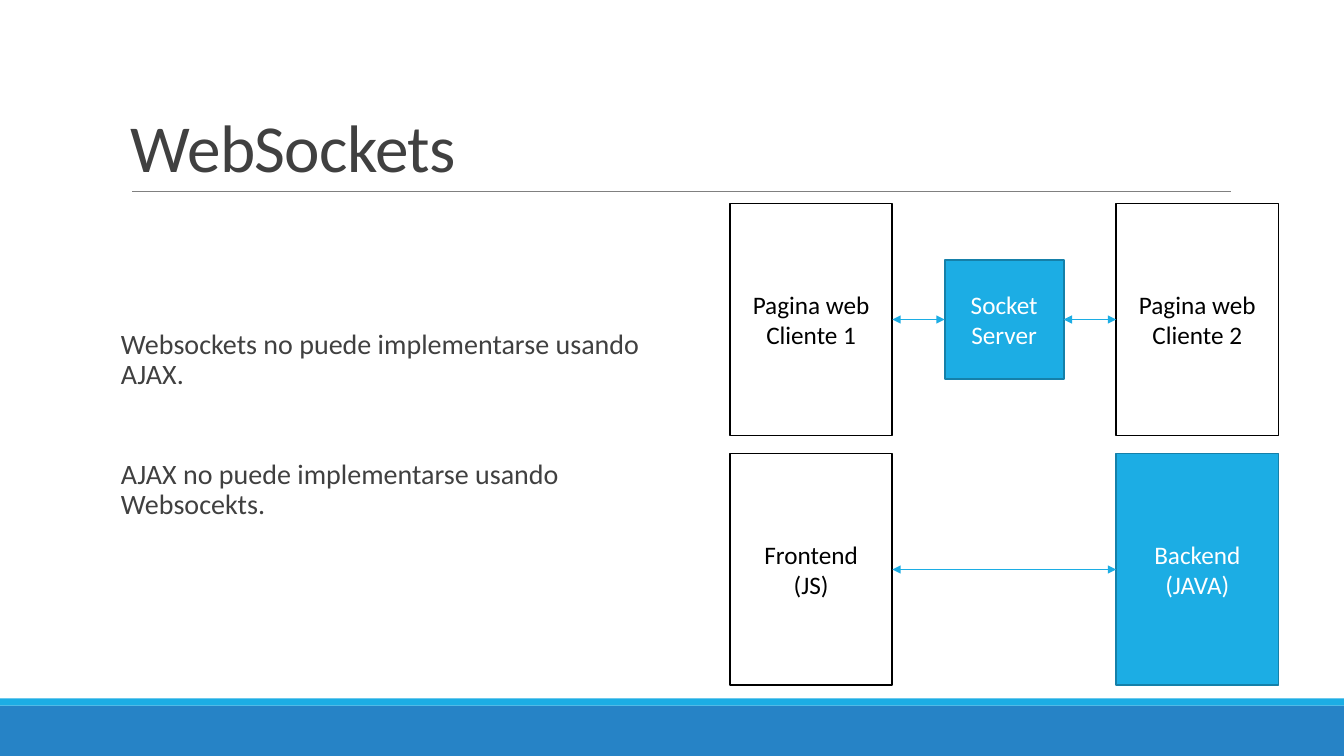
from lxml import etree
from pptx import Presentation
from pptx.dml.color import RGBColor
from pptx.enum import shapes, text
from pptx.oxml import ns
from pptx.util import Inches, Pt

WHITE = RGBColor(0xFF, 0xFF, 0xFF)
BLACK = RGBColor(0, 0, 0)
GREY = RGBColor(0x80, 0x80, 0x80)
DARK = RGBColor(0x40, 0x40, 0x40)
CYAN = RGBColor(0x1C, 0xAD, 0xE4)
CYAN_EDGE = RGBColor(0x15, 0x80, 0xA9)
BLUE = RGBColor(0x26, 0x83, 0xC6)
TOP, LEFT, BOTTOM, RIGHT = range(4)

deck = Presentation()
deck.slide_width, deck.slide_height = Inches(13.33), Inches(7.5)
page = deck.slides.add_slide(deck.slide_layouts[6])


def write(box, lines, size, color, align):
    """Fill a shape with one paragraph per line and return its text frame."""
    frame = box.text_frame
    frame.word_wrap = True
    frame.text = "\n".join(lines)
    for para in frame.paragraphs:
        para.alignment = align
        font = para.runs[0].font
        font.name, font.size, font.color.rgb = "Calibri", Pt(size), color
    return frame


def draw_line(start, end, color, width):
    line = page.shapes.add_connector(shapes.MSO_CONNECTOR.STRAIGHT, *start, *end)
    line.line.color.rgb = color
    line.line.width = Pt(width)
    etree.SubElement(line._element.spPr, ns.qn("a:effectLst"))
    return line


# Footer bands and title rule
for top, height, color in [(7, 0.5, BLUE), (6.93, 0.07, CYAN)]:
    band = page.shapes.add_shape(shapes.MSO_SHAPE.RECTANGLE, 0, Inches(top),
                                 deck.slide_width, Inches(height))
    band.shadow.inherit = False
    band.fill.solid()
    band.fill.fore_color.rgb = color
    band.line.fill.background()
draw_line((Inches(1.31), Inches(1.9)), (Inches(12.21), Inches(1.9)), GREY, 0.5)

# Title
title = page.shapes.add_textbox(Inches(1.2), Inches(0.31), Inches(11), Inches(1.59))
frame = write(title, ["WebSockets"], 48, DARK, text.PP_ALIGN.LEFT)
frame.vertical_anchor = text.MSO_ANCHOR.BOTTOM
frame.paragraphs[0].line_spacing = 0.85
frame.paragraphs[0].runs[0].font._element.set("spc", "-50")

# Statements
body = page.shapes.add_textbox(Inches(1.2), Inches(2.02), Inches(5.52), Inches(4.4))
frame = write(body, ["Websockets no puede implementarse usando AJAX.",
                     "AJAX no puede implementarse usando Websocekts."],
              20, DARK, text.PP_ALIGN.LEFT)
frame.vertical_anchor = text.MSO_ANCHOR.MIDDLE
frame.margin_left = frame.margin_right = 0
for para, before in zip(frame.paragraphs, (12, 48)):
    para.line_spacing = 0.9
    para.space_before, para.space_after = Pt(before), Pt(2)

# Diagram nodes: lines, left, top, width, height, filled
nodes = {}
for name, lines, left, top, width, height, filled in [
    ("client 1", ["Pagina web", "Cliente 1"], 7.24, 2.02, 1.61, 2.3, False),
    ("client 2", ["Pagina web", "Cliente 2"], 11.07, 2.02, 1.61, 2.3, False),
    ("socket", ["Socket", "Server"], 9.37, 2.58, 1.18, 1.18, True),
    ("frontend", ["Frontend", "(JS)"], 7.24, 4.5, 1.61, 2.3, False),
    ("backend", ["Backend", "(JAVA)"], 11.07, 4.5, 1.61, 2.3, True),
]:
    node = page.shapes.add_shape(shapes.MSO_SHAPE.RECTANGLE, Inches(left), Inches(top),
                                 Inches(width), Inches(height))
    node.shadow.inherit = False
    if filled:
        node.fill.solid()
        node.fill.fore_color.rgb = CYAN
    else:
        node.fill.background()
    node.line.color.rgb = CYAN_EDGE if filled else BLACK
    node.line.width = Pt(1.25)
    frame = write(node, lines, 18, WHITE if filled else BLACK, text.PP_ALIGN.CENTER)
    frame.vertical_anchor = text.MSO_ANCHOR.MIDDLE
    nodes[name] = node

# Two-way arrows between neighbouring nodes
for source, target in [("client 1", "socket"), ("socket", "client 2"),
                       ("frontend", "backend")]:
    arrow = draw_line((0, 0), (0, 0), CYAN, 1)
    arrow.begin_connect(nodes[source], RIGHT)
    arrow.end_connect(nodes[target], LEFT)
    for end in ("a:headEnd", "a:tailEnd"):
        etree.SubElement(arrow.line._get_or_add_ln(), ns.qn(end), type="triangle")

deck.save("out.pptx")
